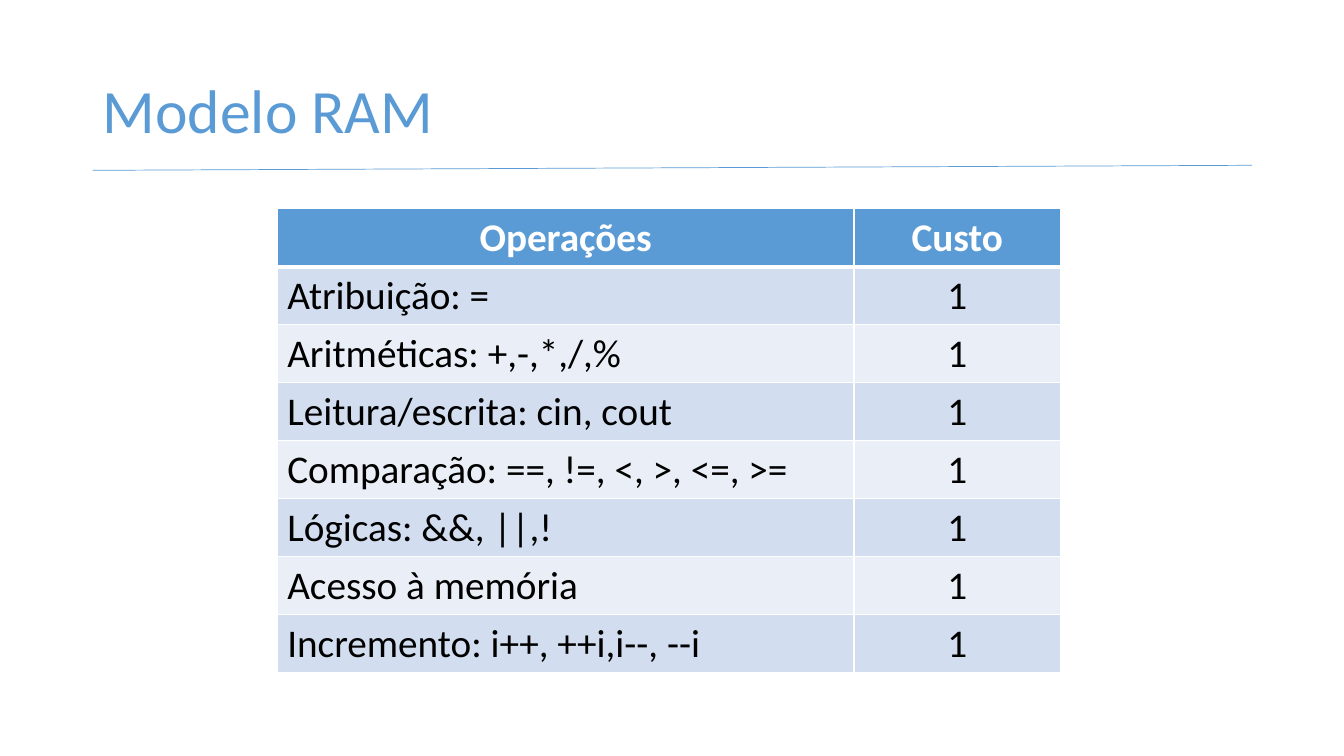
import pptx
import pptx.dml.color
import pptx.enum.shapes
import pptx.enum.text
import pptx.oxml
import pptx.oxml.ns
import pptx.util
from pptx.util import Inches

RGBColor = pptx.dml.color.RGBColor
BLUE = RGBColor(0x5B, 0x9B, 0xD5)
BAND_DARK = RGBColor(0xD2, 0xDE, 0xEF)
BAND_LIGHT = RGBColor(0xEA, 0xEF, 0xF7)
WHITE = RGBColor(0xFF, 0xFF, 0xFF)
BLACK = RGBColor(0, 0, 0)
FONT = "Calibri"
ALIGN = pptx.enum.text.PP_ALIGN

HEADINGS = ("Operações", "Custo")
OPERATIONS = (
    "Atribuição: =",
    "Aritméticas: +,-,*,/,%",
    "Leitura/escrita: cin, cout",
    "Comparação: ==, !=, <, >, <=, >=",
    "Lógicas: &&, ||,!",
    "Acesso à memória",
    "Incremento: i++, ++i,i--, --i",
)
COST = "1"


def write(frame, text, size, color, align, bold=False):
    para = frame.paragraphs[0]
    para.alignment = align
    span = para.add_run()
    span.text = text
    span.font.name = FONT
    span.font.size = pptx.util.Pt(size)
    span.font.bold = bold
    span.font.color.rgb = color
    return para


def add_title(page, text):
    title = page.shapes.title
    title.left, title.top = Inches(0.92), Inches(0.4)
    title.width, title.height = Inches(11.5), Inches(1.45)
    frame = title.text_frame
    frame.auto_size = pptx.enum.text.MSO_AUTO_SIZE.NONE
    frame.vertical_anchor = pptx.enum.text.MSO_ANCHOR.MIDDLE
    write(frame, text, 44, BLUE, ALIGN.LEFT).line_spacing = 0.9


def add_rule(page):
    rule = page.shapes.add_connector(
        pptx.enum.shapes.MSO_CONNECTOR.STRAIGHT,
        Inches(0.92), Inches(1.69), Inches(12.42), Inches(1.64))
    rule.line.color.rgb = BLUE
    rule.line.width = pptx.util.Pt(0.5)
    properties = rule._element.spPr
    properties.append(pptx.oxml.parse_xml(
        f"<a:effectLst {pptx.oxml.ns.nsdecls('a')}/>"))


def set_borders(cell, widths):
    """Draw white borders; widths maps each side (L, R, T, B) to points."""
    properties = cell._tc.get_or_add_tcPr()
    for position, side in enumerate("LRTB"):
        properties.insert(position, pptx.oxml.parse_xml(
            f"<a:ln{side} {pptx.oxml.ns.nsdecls('a')} w='{pptx.util.Pt(widths[side])}'>"
            f"<a:solidFill><a:srgbClr val='{WHITE}'/></a:solidFill></a:ln{side}>"))


def add_cost_table(page):
    rows = [HEADINGS] + [(operation, COST) for operation in OPERATIONS]
    table = page.shapes.add_table(
        len(rows), len(HEADINGS),
        Inches(2.75), Inches(2.07), Inches(7.77), Inches(4.53)).table
    for column, width in zip(table.columns, (5.72, 2.05)):
        column.width = Inches(width)
    for r, texts in enumerate(rows):
        header = r == 0
        fill = BLUE if header else BAND_DARK if r % 2 else BAND_LIGHT
        for c, text in enumerate(texts):
            cell = table.cell(r, c)
            cell.fill.solid()
            cell.fill.fore_color.rgb = fill
            set_borders(cell, {"L": 1, "R": 1, "T": 3 if r == 1 else 1,
                               "B": 3 if header else 1})
            align = ALIGN.CENTER if header or c == 1 else ALIGN.LEFT
            write(cell.text_frame, text, 28, WHITE if header else BLACK,
                  align, header)


def main():
    deck = pptx.Presentation()
    deck.slide_width, deck.slide_height = Inches(13.33), Inches(7.5)
    page = deck.slides.add_slide(deck.slide_layouts.get_by_name("Title Only"))
    add_title(page, "Modelo RAM")
    add_cost_table(page)
    add_rule(page)
    deck.save("out.pptx")


if __name__ == "__main__":
    main()
